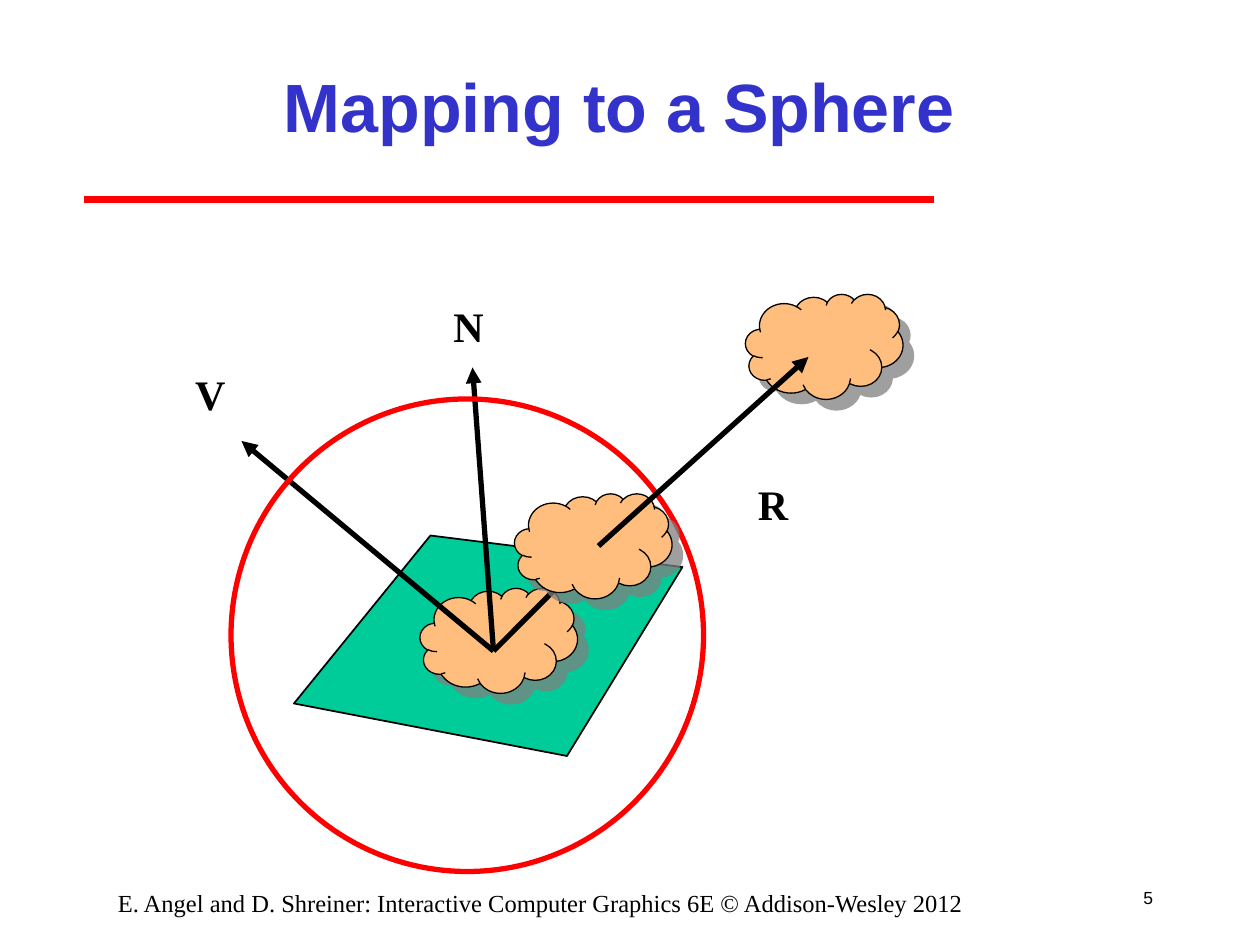
from lxml import etree
from pptx import Presentation
from pptx import util as u
from pptx.dml.color import RGBColor
from pptx.enum import shapes, text
from pptx.oxml import ns

# Grid: 120 columns by 90 rows, twelve to the inch
CELL = u.Inches(1) // 12
deck = Presentation()
deck.slide_width, deck.slide_height = 120 * CELL, 90 * CELL
slide = deck.slides.add_slide(deck.slide_layouts[5])


def grid(*cells):
    return [u.Emu(round(cell * CELL)) for cell in cells]


def color(target, hex_value):
    if hasattr(target, "solid"):
        target.solid()
        target = target.fore_color
    target.rgb = RGBColor.from_string(hex_value)


# Title
title = slide.shapes.title
title.left, title.top, title.width, title.height = grid(18, 3, 82, 14)
title.text_frame.vertical_anchor = text.MSO_ANCHOR.MIDDLE
title.text_frame.paragraphs[0].alignment = text.PP_ALIGN.CENTER
heading = title.text_frame.paragraphs[0].add_run()
heading.text = "Mapping to a Sphere"
heading.font.name, heading.font.size, heading.font.bold = "Arial", u.Pt(39), True
color(heading.font.color, "3333CC")

# Tilted surface
outline = slide.shapes.build_freeform(28, 66.7, scale=CELL)
outline.add_line_segments([(40.8, 51), (65, 54.5), (53.5, 72)], close=True)
surface = outline.convert_to_shape()
surface.shadow.inherit = False
color(surface.fill, "00CC99")
color(surface.line.color, "000000")
surface.line.width = u.Pt(1)

# Clouds, sphere and vectors, from back to front
CLOUD, SPHERE, VECTOR, RULE = "cloud", "sphere", "vector", "rule"
drawing = [
    (RULE, 8, 19, 89, 19),
    (CLOUD, 40, 56, 15, 10),
    (VECTOR, 47, 62, 23, 42),
    (VECTOR, 47, 62, 45, 35),
    (VECTOR, 47, 62, 56, 53),
    (CLOUD, 71, 28, 15, 10),
    (SPHERE, 22, 38, 45, 45),
    (CLOUD, 49, 47, 15, 10),
    (VECTOR, 57, 52, 77, 34),
]
for part, *cells in drawing:
    if part in (VECTOR, RULE):
        stroke = slide.shapes.add_connector(shapes.MSO_CONNECTOR.STRAIGHT, *grid(*cells))
        color(stroke.line.color, "000000" if part == VECTOR else "FF0000")
        stroke.line.width = u.Pt(3 if part == VECTOR else 4)
        if part == VECTOR:
            etree.SubElement(stroke.line._get_or_add_ln(), ns.qn("a:tailEnd"), type="triangle")
        etree.SubElement(stroke._element.spPr, ns.qn("a:effectLst"))
    elif part == SPHERE:
        sphere = slide.shapes.add_shape(shapes.MSO_SHAPE.OVAL, *grid(*cells))
        sphere.shadow.inherit = False
        sphere.fill.background()
        color(sphere.line.color, "FF0000")
        sphere.line.width = u.Pt(3)
    else:
        cloud = slide.shapes.add_shape(shapes.MSO_SHAPE.CLOUD, *grid(*cells))
        cloud.shadow.inherit = False
        color(cloud.fill, "FFBE7D")
        color(cloud.line.color, "000000")
        cloud.line.width = u.Pt(0.75)
        effects = cloud._element.spPr.find(ns.qn("a:effectLst"))
        shadow = etree.SubElement(effects, ns.qn("a:outerShdw"), blurRad="0",
                                  dist=str(u.Pt(8.5)), dir=str(45 * 60000),
                                  algn="ctr", rotWithShape="0")
        gray = etree.SubElement(shadow, ns.qn("a:srgbClr"), val="808080")
        etree.SubElement(gray, ns.qn("a:alpha"), val="75000")

# Vector labels, footer and page number
LEFT, CENTER, RIGHT = text.PP_ALIGN.LEFT, text.PP_ALIGN.CENTER, text.PP_ALIGN.RIGHT
captions = [
    ("V", (17.4, 34.5, 5.3, 6), "Times New Roman", 24, LEFT),
    ("N", (42, 28, 5.3, 6), "Times New Roman", 24, LEFT),
    ("R", (71, 45, 5.3, 6), "Times New Roman", 24, LEFT),
    ("E. Angel and D. Shreiner: Interactive Computer Graphics 6E © Addison-Wesley 2012",
     (6, 84, 91, 3), "Times New Roman", 14, CENTER),
    ("5", (106, 83, 5, 5), "Arial", 10, RIGHT),
]
for words, cells, face, size, alignment in captions:
    frame = slide.shapes.add_textbox(*grid(*cells)).text_frame
    frame.word_wrap = alignment == CENTER
    if alignment == RIGHT:
        frame.vertical_anchor = text.MSO_ANCHOR.MIDDLE
    frame.paragraphs[0].alignment = alignment
    caption = frame.paragraphs[0].add_run()
    caption.text = words
    caption.font.name, caption.font.size = face, u.Pt(size)
    caption.font.bold = alignment == LEFT
    color(caption.font.color, "000000")

deck.save("out.pptx")
